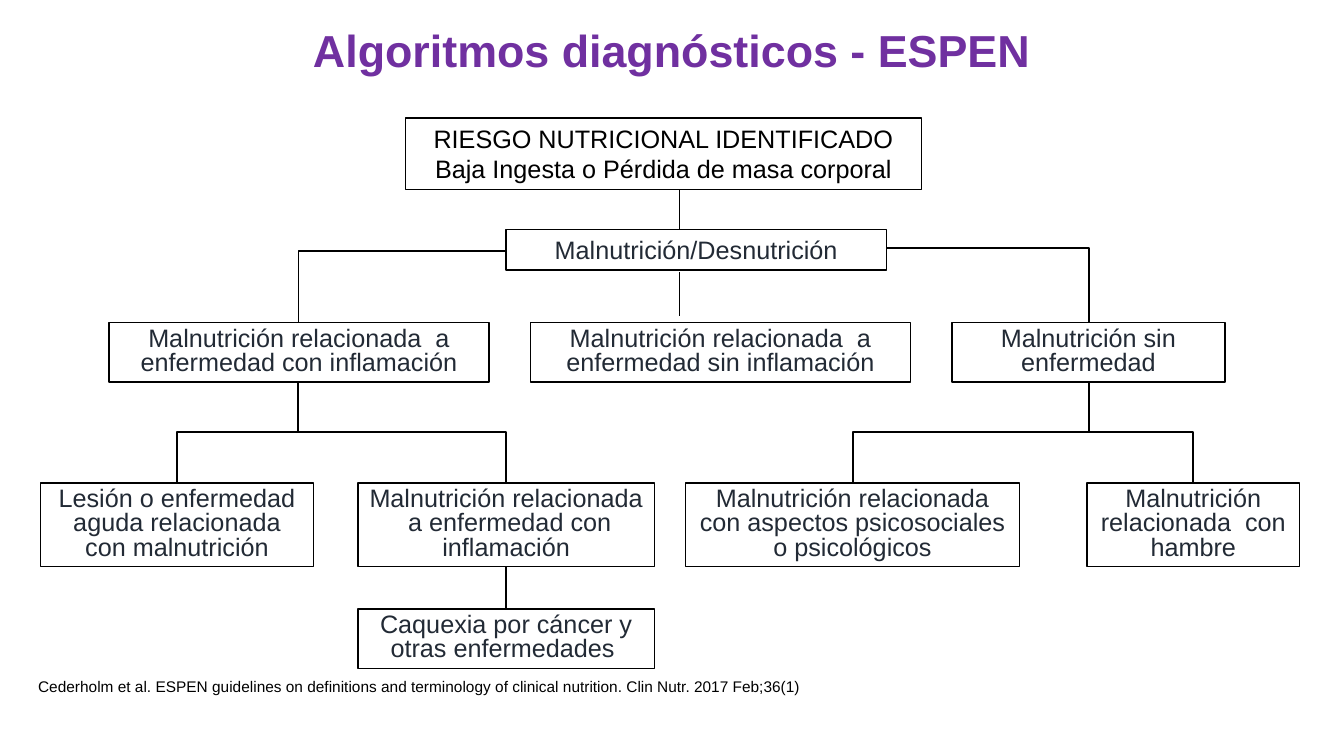
from dataclasses import dataclass

from lxml import etree
from pptx import Presentation
from pptx import util as u
from pptx.dml.color import RGBColor
from pptx.enum import shapes, text
from pptx.oxml.ns import qn

PX = 9144  # EMU per px, 100 px to the inch


@dataclass(frozen=True)
class Theme:
    font: str = "Arial"
    title: str = "7030A0"
    ink: str = "222A35"
    black: str = "000000"
    white: str = "FFFFFF"
    title_size: int = 32
    body_size: int = 18
    source_size: int = 11
    thin: float = 1
    thick: float = 1.5


def apply(target, values):
    for name, value in values.items():
        setattr(target, name, value)


class Diagram:
    def __init__(self, slide, theme):
        self.shapes = slide.shapes
        self.theme = theme

    def set_text(self, shape, lines, size, color, bold=False, align="CENTER",
                 spacing=1.0, anchor="MIDDLE"):
        frame = shape.text_frame
        apply(frame, {"word_wrap": True, "vertical_anchor": text.MSO_ANCHOR[anchor]})
        frame.text = lines
        for paragraph in frame.paragraphs:
            apply(paragraph, {"alignment": text.PP_ALIGN[align], "line_spacing": spacing})
            font = paragraph.runs[0].font
            apply(font, {"name": self.theme.font, "size": u.Pt(size), "bold": bold})
            font.color.rgb = RGBColor.from_string(color)

    def label(self, place, lines, size, color, **style):
        shape = self.shapes.add_textbox(*(n * PX for n in place))
        self.set_text(shape, lines, size, color, **style)

    def box(self, place, lines, color=None, **style):
        shape = self.shapes.add_shape(shapes.MSO_SHAPE.RECTANGLE, *(n * PX for n in place))
        shape.shadow.inherit = False
        shape.fill.solid()
        shape.fill.fore_color.rgb = RGBColor.from_string(self.theme.white)
        self.ink_line(shape, self.theme.thin)
        self.set_text(shape, lines, self.theme.body_size, color or self.theme.ink, **style)
        return shape

    def ink_line(self, shape, width):
        shape.line.width = u.Pt(width)
        shape.line.color.rgb = RGBColor.from_string(self.theme.black)

    def connector(self, kind, ends, width):
        line = self.shapes.add_connector(kind, *(round(n * PX) for n in ends))
        self.ink_line(line, width)
        etree.SubElement(line._element.spPr, qn("a:effectLst"))
        return line

    def straight(self, *ends):
        return self.connector(shapes.MSO_CONNECTOR.STRAIGHT, ends, self.theme.thin)

    def corner(self, ends, width):
        """Runs sideways, then down."""
        line = self.connector(shapes.MSO_CONNECTOR.ELBOW, ends, width)
        line._element.spPr.find(qn("a:prstGeom")).set("prst", "bentConnector2")

    def fork(self, x, top, bottom, child_x):
        """Runs down, sideways and down again: a sideways elbow, turned."""
        mid_x, mid_y = (x + child_x) / 2, (top + bottom) / 2
        half_w, half_h = (bottom - top) / 2, abs(child_x - x) / 2
        side = 1 if child_x > x else -1
        ends = (mid_x + side * half_w, mid_y - half_h,
                mid_x - side * half_w, mid_y + half_h)
        line = self.connector(shapes.MSO_CONNECTOR.ELBOW, ends, self.theme.thick)
        line.rotation = 270 if side > 0 else 90


def main():
    deck = Presentation()
    apply(deck, {"slide_width": 1333 * PX, "slide_height": 750 * PX})
    theme = Theme()
    diagram = Diagram(deck.slides.add_slide(deck.slide_layouts[6]), theme)

    # Title
    diagram.label((0, 0, 1333, 105), "Algoritmos diagnósticos - ESPEN",
                  theme.title_size, theme.title, bold=True, spacing=0.9)

    # Risk and diagnosis
    diagram.box((402, 117, 512, 71),
                "RIESGO NUTRICIONAL IDENTIFICADO\nBaja Ingesta o Pérdida de masa corporal",
                color=theme.black, anchor="TOP")
    diagram.box((502, 228, 377, 40), "Malnutrición/Desnutrición", anchor="TOP")

    # Types of malnutrition
    type_top, type_height = 320, 59
    for left, width, kind in (
        (108, 377, "Malnutrición relacionada  a enfermedad con inflamación"),
        (526, 377, "Malnutrición relacionada  a enfermedad sin inflamación"),
        (944, 271, "Malnutrición sin enfermedad"),
    ):
        diagram.box((left, type_top, width, type_height), kind, spacing=0.8)

    # Causes
    cause_top, cause_height = 479, 83
    causes = [
        diagram.box((left, cause_top, width, cause_height), cause, spacing=0.8)
        for left, width, cause in (
            (40, 271, "Lesión o enfermedad aguda relacionada con malnutrición"),
            (355, 294, "Malnutrición relacionada  a enfermedad con inflamación"),
            (680, 331, "Malnutrición relacionada con aspectos psicosociales o psicológicos"),
            (1078, 211, "Malnutrición relacionada  con hambre"),
        )
    ]
    cachexia = diagram.box((355, 604, 294, 59), "Caquexia por cáncer y otras enfermedades ",
                           spacing=0.8, anchor="TOP")

    # Links from the diagnosis
    inflamed_x, healthy_x = 296, 1080
    diagram.straight(674, 188, 674, 228)
    diagram.straight(674, 270, 674, 314)
    diagram.corner((502, 249, inflamed_x, type_top), theme.thin)
    diagram.corner((879, 246, healthy_x, type_top), theme.thick)

    # Links to the causes
    for parent_x, children in ((inflamed_x, (176, 502)), (healthy_x, (846, 1183))):
        for child_x in children:
            diagram.fork(parent_x, type_top + type_height, cause_top, child_x)
    cachexia_link = diagram.straight(502, 562, 502, 604)
    cachexia_link.begin_connect(causes[1], 2)
    cachexia_link.end_connect(cachexia, 0)

    # Source
    diagram.label((28, 667, 784, 29),
                  "Cederholm et al. ESPEN guidelines on definitions and terminology of "
                  "clinical nutrition. Clin Nutr. 2017 Feb;36(1)",
                  theme.source_size, theme.black, align="LEFT", anchor="TOP")

    deck.save("out.pptx")


if __name__ == "__main__":
    main()
